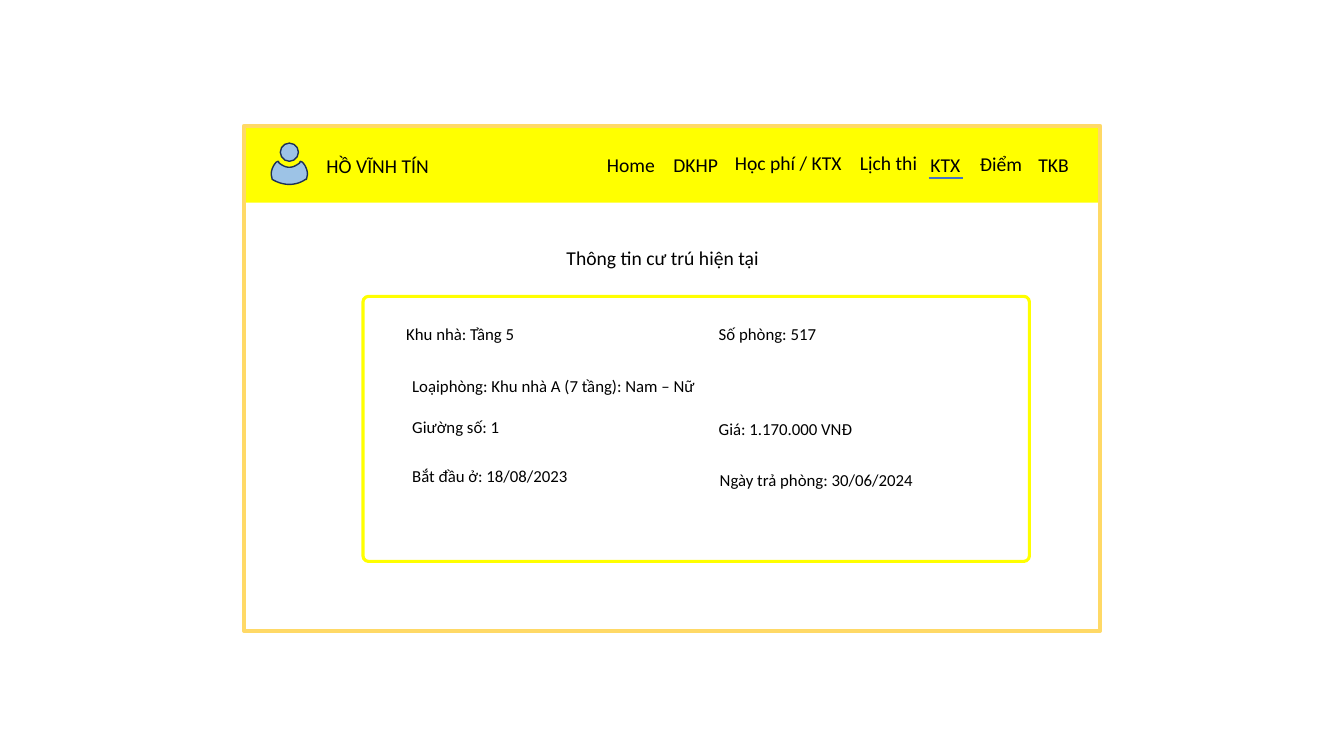
"""Build the dormitory residence page of a student portal."""
from dataclasses import dataclass
from typing import Optional

from lxml.etree import SubElement
from pptx import Presentation
from pptx.dml.color import RGBColor
from pptx.enum.shapes import MSO_CONNECTOR, MSO_SHAPE
from pptx.enum.text import MSO_AUTO_SIZE, PP_ALIGN
from pptx.oxml.ns import qn
from pptx.util import Emu, Pt

PX = 9144
COLORS = {
    "banner": "FFFF00",
    "frame": "FFD966",
    "avatar": "9DC3E6",
    "avatar_edge": "1E3256",
    "active_tab": "4472C4",
    "text": "000000",
}
FRAME_FORMAT = {"auto_size": MSO_AUTO_SIZE.SHAPE_TO_FIT_TEXT}
FONT_FORMAT = {"name": "Calibri", "bold": False, "italic": False}


@dataclass(frozen=True)
class Label:
    text: str
    left: int
    top: int
    width: int
    wrap: bool = False


@dataclass(frozen=True)
class Panel:
    kind: MSO_SHAPE
    left: int
    top: int
    width: int
    height: int
    fill: Optional[str] = None
    line: Optional[str] = None
    weight: float = 1
    corner: Optional[float] = None


BANNER = Panel(MSO_SHAPE.RECTANGLE, 242, 125, 849, 76, fill="banner")
PAGE_FRAME = Panel(MSO_SHAPE.RECTANGLE, 242, 125, 849, 501, line="frame", weight=3)
AVATAR_HEAD = Panel(MSO_SHAPE.OVAL, 278, 142, 18, 18, "avatar", "avatar_edge")
DETAILS_BOX = Panel(MSO_SHAPE.ROUNDED_RECTANGLE, 360, 294, 661, 263,
                    line="banner", weight=2.25, corner=0.021)

AVATAR_BODY = [
    [(276, 160)],
    [(277, 162)],
    [(280, 164), (283, 166), (287, 166)],
    [(291, 166), (294, 164), (297, 162)],
    [(298, 160)],
    [(300, 161)],
    [(303, 164), (305, 169), (305, 173)],
    [(304, 178)],
    [(303, 178)],
    [(299, 181), (293, 183), (287, 183)],
    [(281, 183), (275, 181), (270, 178)],
    [(269, 173)],
    [(269, 169), (271, 164), (274, 161)],
]

HEADINGS = [
    Label("HỒ VĨNH TÍN", 314, 148, 126, wrap=True),
    Label("Học phí / KTX", 719, 145, 127),
    Label("Lịch thi", 843, 145, 78),
    Label("Điểm", 962, 146, 62),
    Label("KTX", 913, 147, 50),
    Label("TKB", 1020, 147, 51),
    Label("Home", 592, 147, 68),
    Label("DKHP", 658, 147, 65),
    Label("Thông tin cư trú hiện tại", 552, 239, 213),
]
DETAILS = [
    Label("Khu nhà: Tầng 5", 393, 316, 128),
    Label("Số phòng: 517", 703, 316, 118),
    Label("Loạiphòng: Khu nhà A (7 tầng): Nam – Nữ", 399, 368, 304),
    Label("Giường số: 1", 399, 409, 108),
    Label("Giá: 1.170.000 VNĐ", 703, 411, 158),
    Label("Bắt đầu ở: 18/08/2023", 399, 457, 177),
    Label("Ngày trả phòng: 30/06/2024", 704, 461, 214),
]


def px(length: float) -> Emu:
    return Emu(round(length * PX))


def color(name: str) -> RGBColor:
    return RGBColor.from_string(COLORS[name])


def paint(shape, fill: Optional[str], line: Optional[str], weight: float) -> None:
    shape.shadow.inherit = False
    if fill:
        shape.fill.solid()
        shape.fill.fore_color.rgb = color(fill)
    else:
        shape.fill.background()
    if line:
        shape.line.color.rgb = color(line)
        shape.line.width = Pt(weight)
    else:
        shape.line.fill.background()


def draw_panel(shapes, panel: Panel) -> None:
    shape = shapes.add_shape(panel.kind, px(panel.left), px(panel.top),
                             px(panel.width), px(panel.height))
    if panel.corner is not None:
        shape.adjustments[0] = panel.corner
    paint(shape, panel.fill, panel.line, panel.weight)


def curve_points(start: tuple, controls: list, steps: int = 10) -> list:
    first, second, end = controls
    return [
        tuple((1 - t) ** 3 * a + 3 * (1 - t) ** 2 * t * b
              + 3 * (1 - t) * t ** 2 * c + t ** 3 * d
              for a, b, c, d in zip(start, first, second, end))
        for t in (step / steps for step in range(1, steps + 1))
    ]


def draw_avatar(shapes) -> None:
    avatar = shapes.add_group_shape().shapes
    draw_panel(avatar, AVATAR_HEAD)
    outline = []
    for segment in AVATAR_BODY:
        outline += curve_points(outline[-1], segment) if len(segment) == 3 else segment
    corners = [(px(x), px(y)) for x, y in outline]
    builder = avatar.build_freeform(*corners[0], scale=1.0)
    builder.add_line_segments(corners[1:], close=True)
    paint(builder.convert_to_shape(), "avatar", "avatar_edge", 1)


def draw_label(shapes, label: Label, size: int, height: int) -> None:
    frame = shapes.add_textbox(px(label.left), px(label.top),
                               px(label.width), px(height)).text_frame
    for name, value in (FRAME_FORMAT | {"word_wrap": label.wrap}).items():
        setattr(frame, name, value)
    paragraph = frame.paragraphs[0]
    paragraph.alignment = PP_ALIGN.LEFT
    run = paragraph.add_run()
    run.text = label.text
    for name, value in (FONT_FORMAT | {"size": Pt(size)}).items():
        setattr(run.font, name, value)
    run.font.color.rgb = color("text")


def draw_active_tab(shapes) -> None:
    underline = shapes.add_connector(MSO_CONNECTOR.STRAIGHT,
                                     px(921), px(177), px(955), px(177))
    underline.line.color.rgb = color("active_tab")
    underline.line.width = Pt(1.5)
    SubElement(underline._element.spPr, qn("a:effectLst"))


def main() -> None:
    deck = Presentation()
    deck.slide_width, deck.slide_height = px(1333), px(750)
    shapes = deck.slides.add_slide(deck.slide_layouts[6]).shapes
    draw_panel(shapes, BANNER)
    draw_panel(shapes, PAGE_FRAME)
    draw_avatar(shapes)
    for heading in HEADINGS:
        draw_label(shapes, heading, size=14, height=34)
    draw_active_tab(shapes)
    draw_panel(shapes, DETAILS_BOX)
    for detail in DETAILS:
        draw_label(shapes, detail, size=12, height=30)
    deck.save("out.pptx")


if __name__ == "__main__":
    main()
